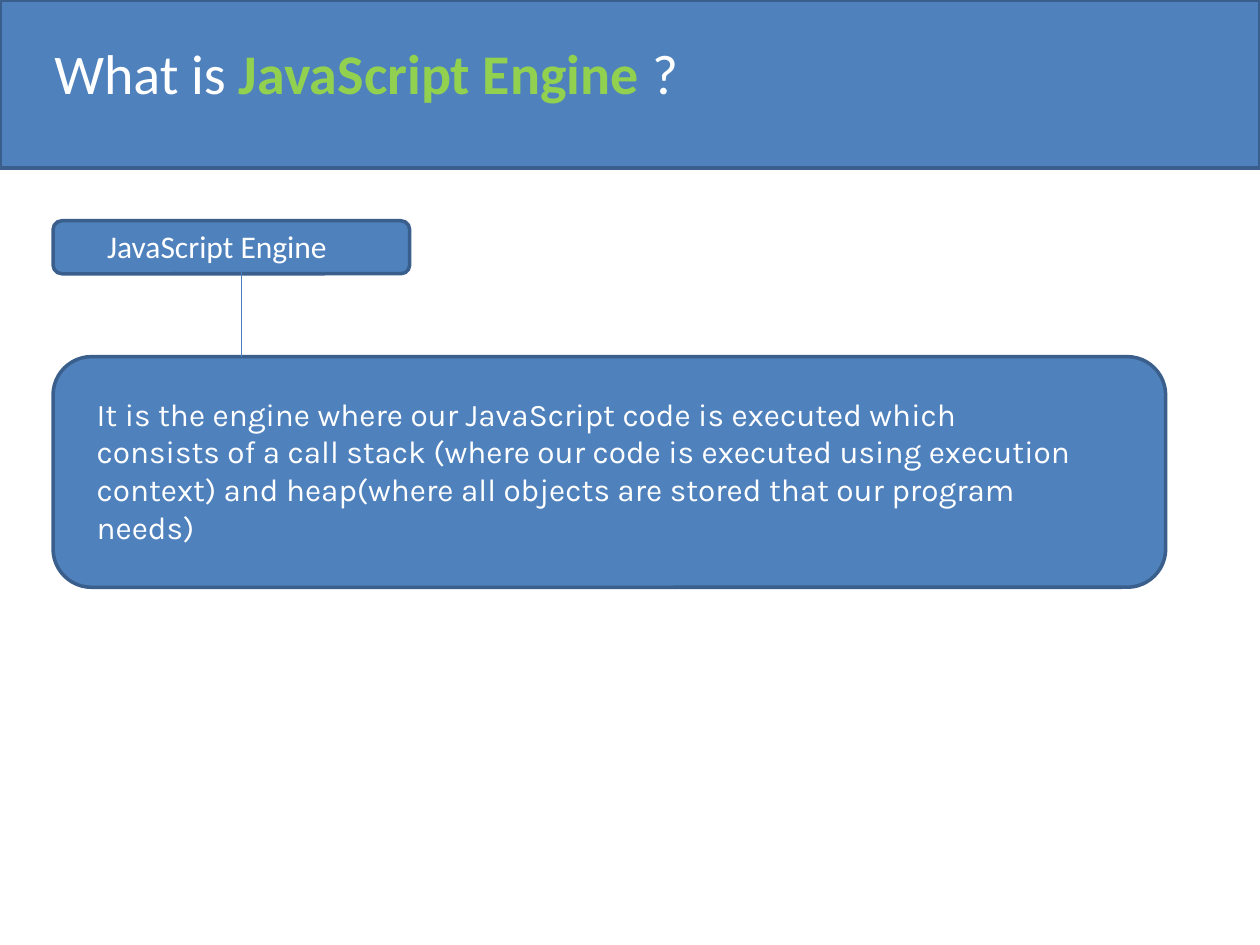
from pptx import Presentation
from pptx import util as u
from pptx.dml.color import RGBColor
from pptx.enum import shapes, text
from pptx.oxml.ns import qn
from lxml import etree

BLUE, EDGE, LINK = "4F81BD", "3A5F8C", "4B7EBC"
WHITE, GREEN = "FFFFFF", "92D050"
LEFT = 1.07  # shared left edge of the label and definition boxes


def rgb(value):
    return RGBColor.from_string(value)


def add_box(s, kind, x, y, w, h):
    sp = s.shapes.add_shape(kind, u.Cm(x), u.Cm(y), u.Cm(w), u.Cm(h))
    sp.shadow.inherit = False
    sp.fill.solid()
    sp.fill.fore_color.rgb = rgb(BLUE)
    sp.line.color.rgb = rgb(EDGE)
    sp.line.width = u.Pt(2)


def format_run(r, font, size, color=WHITE, bold=False):
    r.font.name = font
    r.font.size = u.Pt(size)
    r.font.bold = bold
    r.font.color.rgb = rgb(color)


def add_text(s, content, font, x, y, w, h):
    tf = s.shapes.add_textbox(u.Cm(x), u.Cm(y), u.Cm(w), u.Cm(h)).text_frame
    tf.word_wrap = True
    tf.text = content
    format_run(tf.paragraphs[0].runs[0], font, 18)


def set_title(s, parts):
    sp = s.shapes.title
    sp.left, sp.top, sp.width, sp.height = (u.Cm(v) for v in (0.84, 0.64, 24.13, 1.63))
    tf = sp.text_frame
    tf.auto_size = text.MSO_AUTO_SIZE.NONE
    tf.vertical_anchor = text.MSO_ANCHOR.TOP
    p = tf.paragraphs[0]
    p.alignment = text.PP_ALIGN.LEFT
    for content, color, bold in parts:
        r = p.add_run()
        r.text = content
        format_run(r, "Calibri", 32, color, bold)
    # Bring the title in front of the header band
    s.shapes._spTree.append(sp._element)


def add_link(s, x, y1, y2):
    line = s.shapes.add_connector(shapes.MSO_CONNECTOR.STRAIGHT,
                                  u.Cm(x), u.Cm(y1), u.Cm(x), u.Cm(y2))
    line.line.color.rgb = rgb(LINK)
    line.line.width = u.Pt(0.75)
    etree.SubElement(line._element.spPr, qn("a:effectLst"))


def main():
    prs = Presentation()
    prs.slide_width, prs.slide_height = u.Cm(25.4), u.Cm(19.05)
    s = prs.slides.add_slide(prs.slide_layouts[5])
    rounded = shapes.MSO_SHAPE.ROUNDED_RECTANGLE

    # Header
    add_box(s, shapes.MSO_SHAPE.RECTANGLE, 0, 0, 25.4, 3.39)
    set_title(s, [("What is ", WHITE, False),
                  ("JavaScript Engine ", GREEN, True),
                  ("?", WHITE, False)])

    # Definition
    add_box(s, rounded, LEFT, 7.19, 22.43, 4.65)
    add_text(s, "It is the engine where our JavaScript code is executed which "
                "consists of a call stack (where our code is executed using "
                "execution context) and heap(where all objects are stored that "
                "our program needs)", "Karla", 1.7, 7.83, 20.32, 2.57)

    # Label, linked to the definition
    add_box(s, rounded, LEFT, 4.45, 7.19, 1.07)
    add_text(s, "JavaScript Engine", "Calibri", 1.91, 4.45, 5.92, 1.03)
    add_link(s, 4.87, 5.47, 7.19)

    prs.save("out.pptx")


if __name__ == "__main__":
    main()
